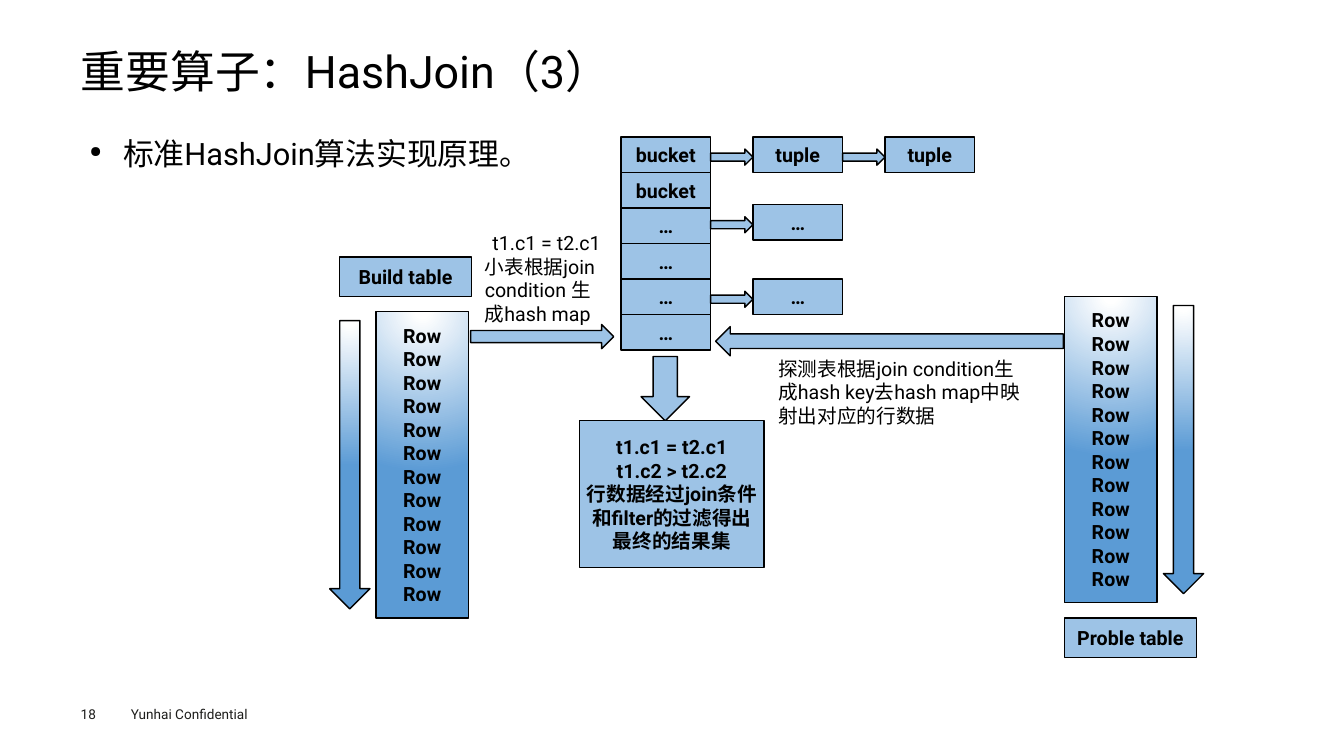
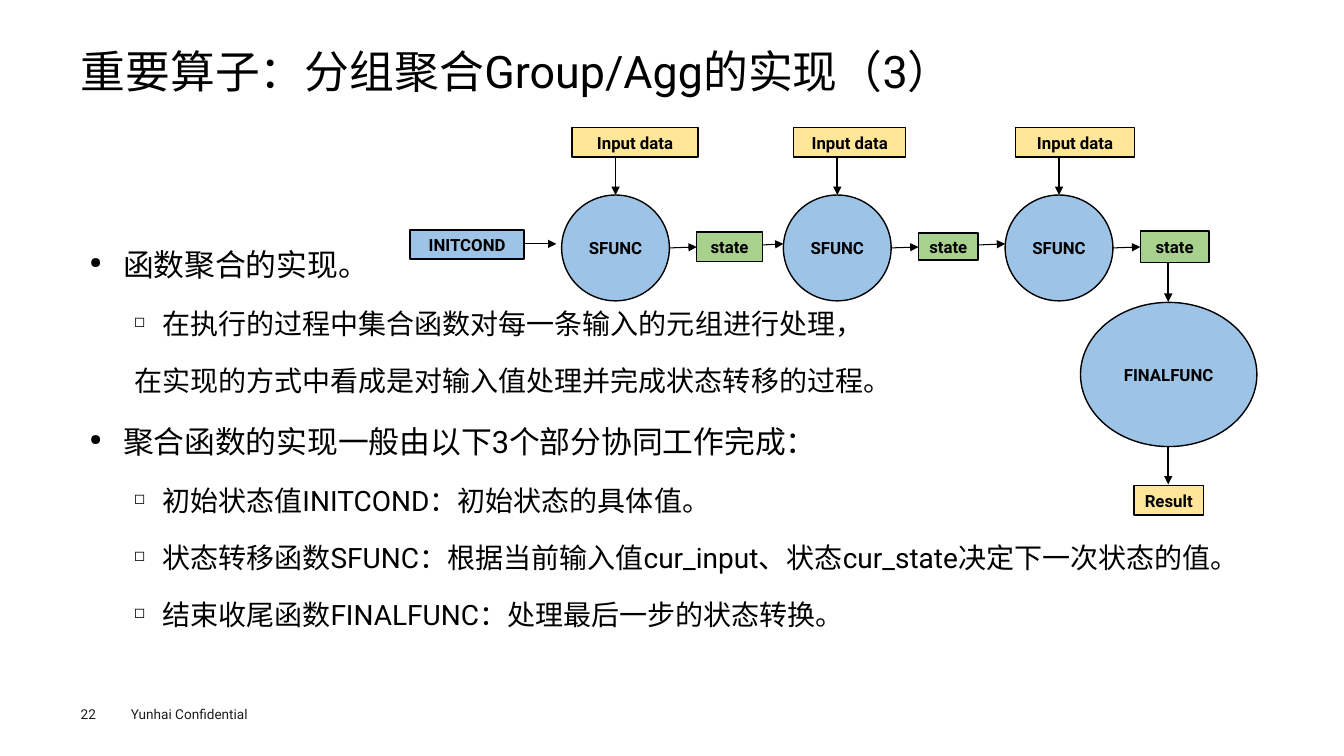
from pptx import Presentation
from pptx.dml.color import RGBColor
from pptx.enum.shapes import MSO_CONNECTOR, MSO_SHAPE
from pptx.enum.text import MSO_ANCHOR, PP_ALIGN
from pptx.oxml import parse_xml
from pptx.oxml.ns import nsdecls, qn
from pptx.oxml.xmlchemy import OxmlElement
from pptx.util import Pt

FONT = "Roboto"
BLACK, FOOTER_GREY = "000000", "1D1D1B"
BLUE, GREEN, YELLOW = "9DC3E6", "A9D18E", "FFE699"
FADE = "fade"
FADE_STOPS = ((0, "FFFFFF"), (4000, "FFFFFF"), (100000, "5B9BD5"))
FOOTER = "Yunhai Confidential"

# Body levels: text size, paragraph format, left margin, hanging indent, bullet
LEVELS = {
    "main": (22, {"alignment": PP_ALIGN.JUSTIFY, "line_spacing": 1.4, "space_before": Pt(7.9)},
             23.8, -23.8, "●"),
    "sub": (20, {"line_spacing": 1.4, "space_before": Pt(7.2)}, 51.8, -20.2, "◻"),
    "plain": (20, {"line_spacing": 1.4, "space_before": Pt(7.2)}, 31.7, 0, None),
}


def color(value):
    return RGBColor.from_string(value)


def apply(target, formats):
    for name, value in formats.items():
        setattr(target, name, value)


def add_child(parent, tag, **attributes):
    child = OxmlElement(tag)
    for name, value in attributes.items():
        child.set(name, str(value))
    parent.append(child)
    return child


class SlideBuilder:
    """Holds the deck style and the current slide; lengths are in points."""

    def __init__(self):
        self.deck = Presentation()
        apply(self.deck, {"slide_width": Pt(960), "slide_height": Pt(540)})
        self.page = None

    def new_page(self, title, number):
        self.page = self.deck.slides.add_slide(self.deck.slide_layouts[6])
        self.text([FOOTER], 86.4, 500.4, 115.2, 19.4, size=9.7, color_hex=FOOTER_GREY,
                  margins=(7.2, 3.6))
        self.text([number], 57.6, 504, 39.6, 11.5, size=9.7, color_hex=FOOTER_GREY,
                  margins=(0, 0))
        self.text([title], 57.6, 35.3, 844.6, 38.2, size=32, margins=(0, 0),
                  formats={"line_spacing": 0.9})

    def frame(self, box, margins, anchor, wrap=True):
        across, down = (Pt(margin) for margin in margins)
        apply(box.text_frame, {
            "margin_left": across, "margin_right": across, "margin_top": down,
            "margin_bottom": down, "vertical_anchor": anchor, "word_wrap": wrap})
        return box.text_frame

    def add_lines(self, frame, lines, size, bold=False, color_hex=BLACK, formats=None):
        for index, line in enumerate(lines):
            para = frame.add_paragraph() if index else frame.paragraphs[0]
            apply(para, formats or {})
            self.span(para, line, size, bold, color_hex)

    def span(self, para, words, size, bold=False, color_hex=BLACK):
        span = para.add_run()
        span.text = words
        apply(span.font, {"name": FONT, "size": Pt(size), "bold": bold})
        span.font.color.rgb = color(color_hex)
        add_child(span._r.get_or_add_rPr(), "a:ea", typeface=FONT)

    def text(self, lines, left, top, width, height, size=14, color_hex=BLACK,
             margins=(2.9, 2.9), anchor=MSO_ANCHOR.TOP, formats=None):
        box = self.page.shapes.add_textbox(Pt(left), Pt(top), Pt(width), Pt(height))
        frame = self.frame(box, margins, anchor)
        self.add_lines(frame, lines, size, color_hex=color_hex, formats=formats)
        return frame

    def bullets(self, items, top):
        box = self.page.shapes.add_textbox(Pt(57.6), Pt(top), Pt(844.6), Pt(467.3 - top))
        frame = self.frame(box, (6.5, 2.9), MSO_ANCHOR.TOP)
        for index, (level, words) in enumerate(items):
            size, formats, margin, indent, bullet = LEVELS[level]
            para = frame.add_paragraph() if index else frame.paragraphs[0]
            apply(para, formats)
            properties = para._p.get_or_add_pPr()
            properties.set("marL", str(Pt(margin)))
            properties.set("indent", str(Pt(indent)))
            if bullet:
                add_child(properties, "a:buSzPct", val=50000)
                add_child(properties, "a:buChar", char=bullet)
            self.span(para, words, size)

    def shape(self, kind, left, top, width, height, lines=(), fill=BLUE, size=14, wrap=True):
        box = self.page.shapes.add_shape(kind, Pt(left), Pt(top), Pt(width), Pt(height))
        box.shadow.inherit = False
        box.fill.solid()
        if fill == FADE:
            self.fade(box)
        else:
            box.fill.fore_color.rgb = color(fill)
        box.line.color.rgb = color(BLACK)
        box.line.width = Pt(1)
        frame = self.frame(box, (2.9, 2.9), MSO_ANCHOR.MIDDLE, wrap)
        self.add_lines(frame, lines, size, bold=True, formats={"alignment": PP_ALIGN.CENTER})

    def fade(self, box):
        stops = "".join(f'<a:gs pos="{place}"><a:srgbClr val="{value}"/></a:gs>'
                        for place, value in FADE_STOPS)
        gradient = parse_xml(
            f'<a:gradFill {nsdecls("a")} rotWithShape="1"><a:gsLst>{stops}</a:gsLst>'
            '<a:path path="circle"><a:fillToRect l="50000" t="-80000" r="50000" b="180000"/>'
            '</a:path></a:gradFill>')
        properties = box._element.spPr
        properties.replace(properties.find(qn("a:solidFill")), gradient)

    def node(self, words, left, top, width, height, fill=BLUE, kind=MSO_SHAPE.RECTANGLE):
        self.shape(kind, left, top, width, height, [words], fill, size=12, wrap=False)

    def arrow(self, start, end, weight=0.75):
        link = self.page.shapes.add_connector(
            MSO_CONNECTOR.STRAIGHT, *(Pt(value) for value in (*start, *end)))
        link.line.color.rgb = color(BLACK)
        link.line.width = Pt(weight)
        properties = link._element.spPr
        add_child(properties.find(qn("a:ln")), "a:tailEnd", type="triangle")
        add_child(properties, "a:effectLst")


def hash_join_page(builder):
    builder.new_page("重要算子：HashJoin（3）", "18")
    builder.bullets([("main", "标准HashJoin算法实现原理。")], 82.8)

    # Build and probe tables, each with a scan arrow
    tables = (("Build table", (268.5, 222.5), (235.5, 229), (242.5, 183.6)),
              ("Proble table", (760.3, 211.7), (831, 218.2), (760.3, 441.4)))
    for name, rows, scan, label in tables:
        builder.shape(MSO_SHAPE.RECTANGLE, *rows, 66.2, 218.9, ["Row"] * 12, FADE)
        builder.shape(MSO_SHAPE.DOWN_ARROW, *scan, 28.8, 205.9, fill=FADE)
        builder.shape(MSO_SHAPE.RECTANGLE, *label, 94.3, 28.1, [name])

    # Hash map buckets and their chains
    left, top, width, height, step = 443.5, 97.9, 64.1, 25.35, 94.3
    for index, name in enumerate(["bucket"] * 2 + ["…"] * 4):
        builder.shape(MSO_SHAPE.RECTANGLE, left, top + index * height, width, height, [name])
    for chain_top, names in ((top, ["tuple"] * 2), (146.2, ["…"]), (199.4, ["…"])):
        for index, name in enumerate(names, 1):
            entry = left + index * step
            builder.shape(MSO_SHAPE.RIGHT_ARROW, entry - 30.2, chain_top + 8.6, 30.2, 11.5)
            builder.shape(MSO_SHAPE.RECTANGLE, entry, chain_top, width, height, [name])

    # Flow into and out of the hash map
    builder.shape(MSO_SHAPE.RIGHT_ARROW, 336.2, 231.8, 102.2, 17.3)
    builder.shape(MSO_SHAPE.LEFT_ARROW, 511.2, 233.3, 248.4, 20.9)
    builder.shape(MSO_SHAPE.DOWN_ARROW, 457.9, 254.6, 34.6, 46)
    builder.shape(MSO_SHAPE.RECTANGLE, 414, 300.2, 131.8, 105.1, [
        "t1.c1 = t2.c1", "t1.c2 > t2.c2", "行数据经过join条件和filter的过滤得出最终的结果集"])
    build_note = builder.text(
        ["t1.c1 = t2.c1", "小表根据join condition 生成hash map"],
        343.4, 160.6, 94.3, 76.3, anchor=MSO_ANCHOR.MIDDLE)
    build_note.paragraphs[0].alignment = PP_ALIGN.CENTER
    builder.text(["探测表根据join condition生成hash key去hash map中映射出对应的行数据"],
                 553, 249.1, 183.6, 61.9, anchor=MSO_ANCHOR.MIDDLE)


def aggregate_page(builder):
    builder.new_page("重要算子：分组聚合Group/Agg的实现（3）", "22")
    builder.bullets([
        ("main", "函数聚合的实现。"),
        ("sub", "在执行的过程中集合函数对每一条输入的元组进行处理，"),
        ("plain", "在实现的方式中看成是对输入值处理并完成状态转移的过程。"),
        ("main", "聚合函数的实现一般由以下3个部分协同工作完成："),
        ("sub", "初始状态值INITCOND：初始状态的具体值。"),
        ("sub", "状态转移函数SFUNC：根据当前输入值cur_input、状态cur_state决定下一次状态的值。"),
        ("sub", "结束收尾函数FINALFUNC：处理最后一步的状态转换。"),
    ], 162)

    # Initial condition
    builder.node("INITCOND", 293, 164.2, 81.4, 20.9)
    builder.arrow((375.1, 174.2), (397.4, 174.2))

    # Transition steps: input, function, state
    first, step, middle = 401.2, 158.4, 176.2
    sizes = ((90, 46.8, 20.9), (80, 42.5, 19.4), (85, 49, 22.3))
    for index, (input_width, state_width, state_height) in enumerate(sizes):
        left = first + index * step
        state = left + 96.5
        builder.node("Input data", left + 7.4, 91.3, input_width, 20.8, YELLOW)
        builder.arrow((left + 38.5, 112.3), (left + 38.5, 139.3), 1.25)
        builder.node("SFUNC", left, 139.3, 77, 75.6, kind=MSO_SHAPE.FLOWCHART_CONNECTOR)
        builder.arrow((left + 77, 177.1), (state, 176.4))
        builder.node("state", state, middle - state_height / 2, state_width, state_height, GREEN)
        if index < len(sizes) - 1:
            builder.arrow((state + state_width, 175), (left + step, 174.2))

    # Final function and result
    builder.arrow((834.5, 187.9), (834.5, 215.6), 1.25)
    builder.node("FINALFUNC", 771.8, 216, 126, 103, kind=MSO_SHAPE.FLOWCHART_CONNECTOR)
    builder.arrow((834.5, 319), (834.5, 346), 1.25)
    builder.node("Result", 810, 347, 49.7, 20.9, YELLOW)


def main():
    builder = SlideBuilder()
    hash_join_page(builder)
    aggregate_page(builder)
    builder.deck.save("out.pptx")


if __name__ == "__main__":
    main()
